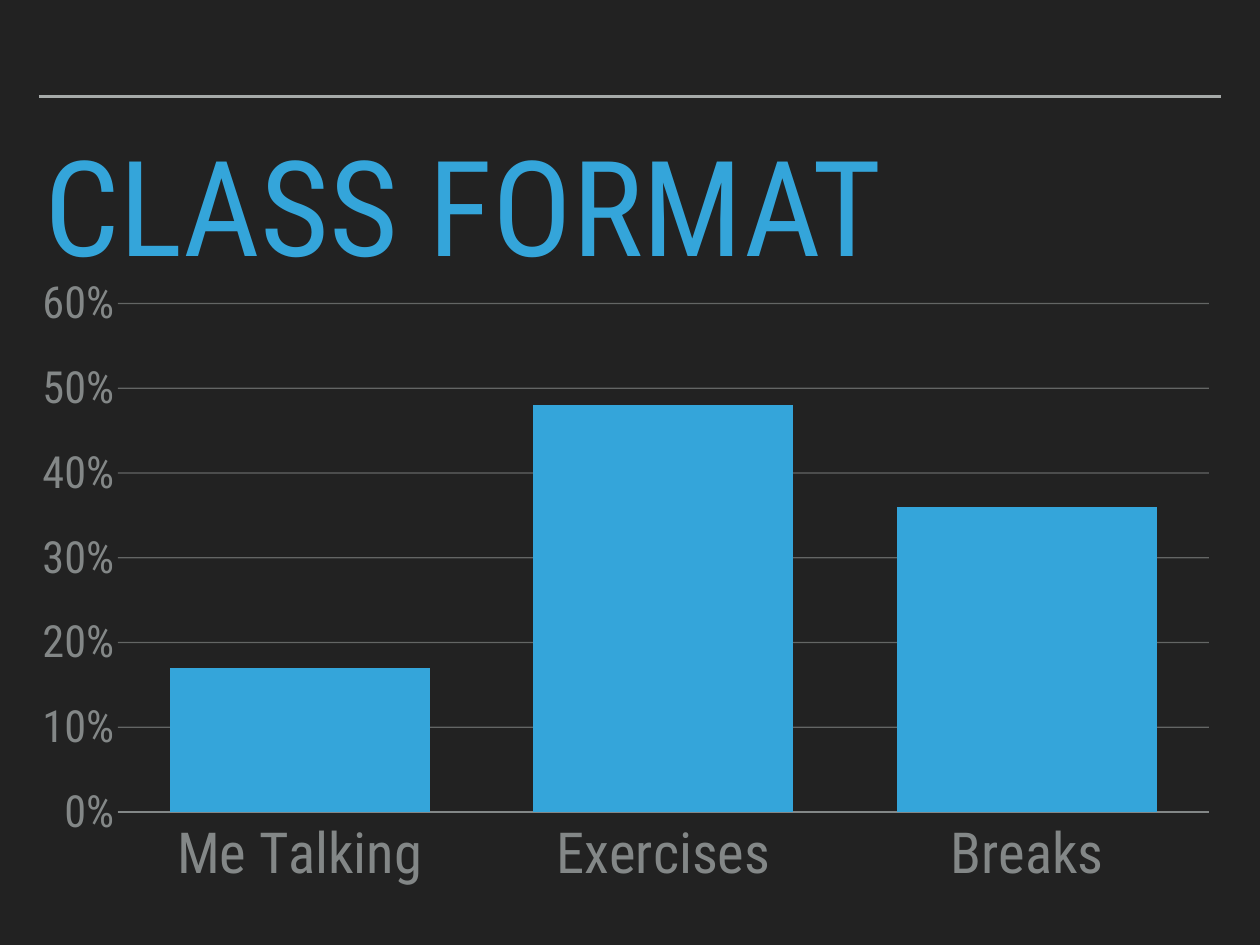
from lxml import etree
from pptx import Presentation
from pptx.chart.data import CategoryChartData
from pptx.dml.color import RGBColor
from pptx.enum.chart import XL_CHART_TYPE, XL_TICK_LABEL_POSITION, XL_TICK_MARK
from pptx.enum.shapes import MSO_CONNECTOR
from pptx.enum.text import MSO_ANCHOR, MSO_AUTO_SIZE, PP_ALIGN
from pptx.oxml.ns import qn
from pptx.util import Inches, Pt

COLUMNS = XL_CHART_TYPE.COLUMN_CLUSTERED
LABELS_LOW = XL_TICK_LABEL_POSITION.LOW
NO_TICK = XL_TICK_MARK.NONE
STRAIGHT = MSO_CONNECTOR.STRAIGHT
TOP = MSO_ANCHOR.TOP
NO_AUTOFIT = MSO_AUTO_SIZE.NONE
LEFT = PP_ALIGN.LEFT

DARK = RGBColor(0x22, 0x22, 0x22)
BLUE = RGBColor(0x34, 0xA5, 0xDA)
SILVER = RGBColor(0xA6, 0xAA, 0xA9)
GREY = RGBColor(0x83, 0x87, 0x87)

TITLE_ONLY = 5


def apply(target, values):
    """Set each named attribute of target."""
    for name, value in values.items():
        setattr(target, name, value)


class ClassFormatPage:
    """Holds the style and the slide being built."""

    font_name = "Roboto Condensed"

    def __init__(self, deck):
        self.page = deck.slides.add_slide(deck.slide_layouts[TITLE_ONLY])
        fill = self.page.background.fill
        fill.solid()
        fill.fore_color.rgb = DARK

    def style_font(self, font, size, color):
        apply(font, {"name": self.font_name, "size": Pt(size), "bold": False})
        font.color.rgb = color

    def rule(self, left, right, top):
        line = self.page.shapes.add_connector(
            STRAIGHT, Inches(left), Inches(top), Inches(right), Inches(top))
        line.line.color.rgb = SILVER
        line.line.width = Pt(2)
        etree.SubElement(line._element.spPr, qn("a:effectLst"))

    def title(self, text, left, top, width, height):
        box = self.page.shapes.title
        apply(box, {"left": Inches(left), "top": Inches(top),
                    "width": Inches(width), "height": Inches(height)})
        frame = box.text_frame
        frame.text = text
        margins = ("margin_left", "margin_top", "margin_right", "margin_bottom")
        apply(frame, dict.fromkeys(margins, Inches(0.06)))
        apply(frame, {"vertical_anchor": TOP, "auto_size": NO_AUTOFIT,
                      "word_wrap": True})
        para = frame.paragraphs[0]
        apply(para, {"alignment": LEFT, "line_spacing": 0.8,
                     "space_before": Pt(0)})
        self.style_font(para.runs[0].font, 108, BLUE)

    def column_chart(self, shares, left, top, width, height):
        data = CategoryChartData(number_format="0%")
        data.categories = list(shares)
        data.add_series("Series 1", list(shares.values()))
        chart = self.page.shapes.add_chart(
            COLUMNS, Inches(left), Inches(top), Inches(width), Inches(height),
            data).chart
        apply(chart, {"has_legend": False, "has_title": False})
        apply(chart.font, {"name": "Calibri", "size": Pt(10)})
        chart.font.color.rgb = DARK

        plot = chart.plots[0]
        apply(plot, {"gap_width": 40, "overlap": -10,
                     "vary_by_categories": False})
        columns = plot.series[0].format.fill
        columns.solid()
        columns.fore_color.rgb = BLUE

        self.style_axis(chart.category_axis, 46)
        category_axis = chart.category_axis
        category_axis.tick_label_position = LABELS_LOW
        category_axis.format.line.color.rgb = GREY
        category_axis.format.line.width = Pt(1)

        value_axis = chart.value_axis
        self.style_axis(value_axis, 36)
        apply(value_axis, {"minimum_scale": 0, "maximum_scale": 0.6,
                           "major_unit": 0.1, "has_major_gridlines": True})
        apply(value_axis.tick_labels, {"number_format": "0%",
                                       "number_format_is_linked": False})
        value_axis.format.line.fill.background()
        self.style_grid(value_axis.major_gridlines.format.line)
        self.place_plot(chart, x=0.067, y=0.086, w=0.928, h=0.775)

    def style_axis(self, axis, size):
        apply(axis, {"major_tick_mark": NO_TICK, "minor_tick_mark": NO_TICK})
        self.style_font(axis.tick_labels.font, size, GREY)

    def style_grid(self, line):
        """Draw the gridlines half transparent."""
        line.color.rgb = SILVER
        line.width = Pt(1)
        color = line._get_or_add_ln().find(".//" + qn("a:srgbClr"))
        etree.SubElement(color, qn("a:alpha"), val="50000")

    def place_plot(self, chart, **fractions):
        """Fix the inner plot area as fractions of the chart."""
        area = chart._chartSpace.chart.plotArea
        for old in area.findall(qn("c:layout")):
            area.remove(old)
        layout = etree.Element(qn("c:layout"))
        area.insert(0, layout)
        manual = etree.SubElement(layout, qn("c:manualLayout"))
        settings = {"layoutTarget": "inner", "xMode": "edge", "yMode": "edge"}
        for tag, value in (settings | fractions).items():
            etree.SubElement(manual, qn("c:" + tag), val=str(value))


def main():
    deck = Presentation()
    apply(deck, {"slide_width": Inches(14.22), "slide_height": Inches(10.67)})
    page = ClassFormatPage(deck)
    page.rule(0.44, 13.78, 1.09)
    page.title("CLASS FORMAT", 0.44, 1.68, 13.33, 0.79)
    page.column_chart({"Me Talking": 0.17, "Exercises": 0.48, "Breaks": 0.36},
                      0.44, 2.79, 13.27, 7.41)
    deck.save("out.pptx")


if __name__ == "__main__":
    main()
